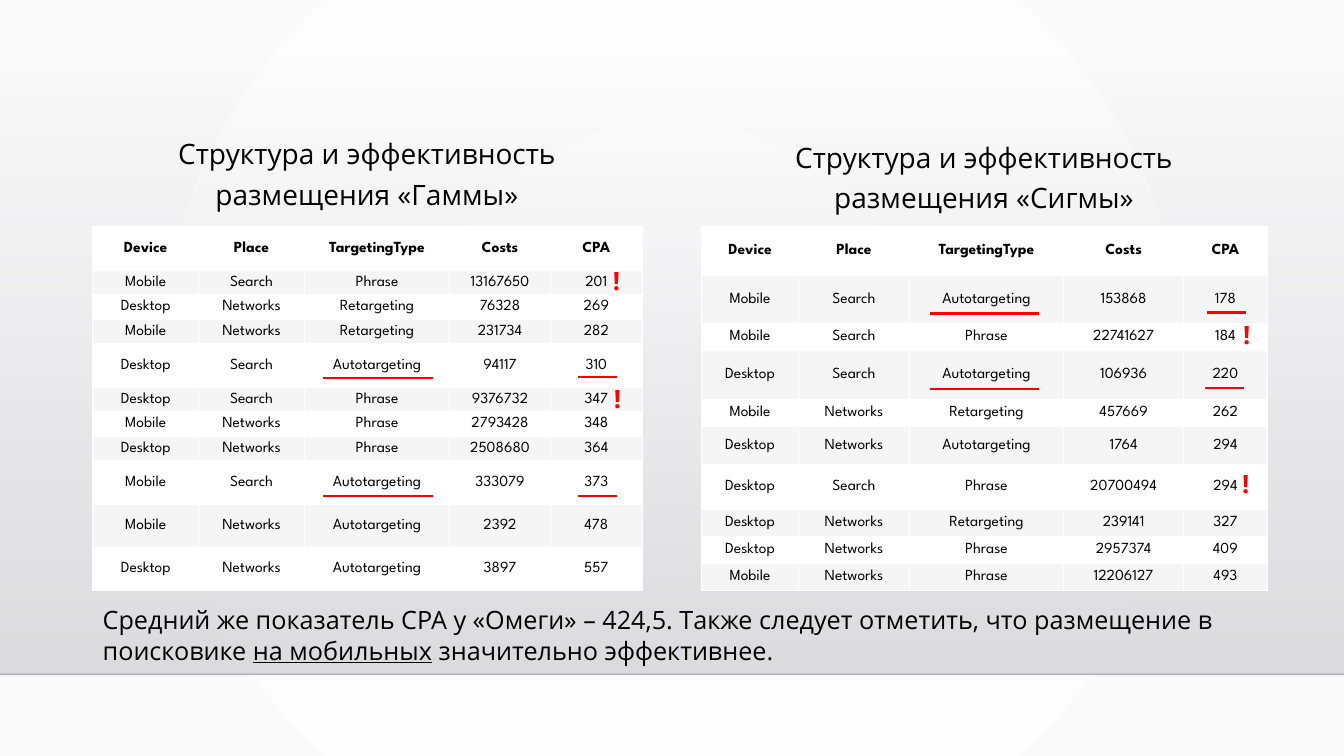
import pptx
import pptx.util
import pptx.dml.color
import pptx.enum.shapes
import pptx.enum.text
import pptx.oxml.ns
from lxml import etree

Inches = pptx.util.Inches
Pt = pptx.util.Pt
ALIGN = pptx.enum.text.PP_ALIGN
qn = pptx.oxml.ns.qn

COLORS = {"black": "000000", "white": "FFFFFF", "band": "F5F5F5", "red": "FF0000",
          "edge": "FAFAFA", "wall_top": "DCDCE0", "wall_bottom": "DEDEE2", "floor": "000001"}
TEXT_FONT, TABLE_FONT = "Open Sans", "League Spartan"

HEADER = ("Device", "Place", "TargetingType", "Costs", "CPA")
CAMPAIGNS = [
    {"title": "Структура и эффективность размещения «Гаммы»",
     "title_at": (1.17, 1.24, 4.94, 1.01),
     "left": 0.92, "columns": (1.05, 1.05, 1.44, 1, 0.91),
     "heights": (0.43, 0.24, 0.24, 0.24, 0.43, 0.24, 0.24, 0.24, 0.43, 0.43, 0.43),
     "rows": [("Mobile", "Search", "Phrase", 13167650, 201),
              ("Desktop", "Networks", "Retargeting", 76328, 269),
              ("Mobile", "Networks", "Retargeting", 231734, 282),
              ("Desktop", "Search", "Autotargeting", 94117, 310),
              ("Desktop", "Search", "Phrase", 9376732, 347),
              ("Mobile", "Networks", "Phrase", 2793428, 348),
              ("Desktop", "Networks", "Phrase", 2508680, 364),
              ("Mobile", "Search", "Autotargeting", 333079, 373),
              ("Mobile", "Networks", "Autotargeting", 2392, 478),
              ("Desktop", "Networks", "Autotargeting", 3897, 557)]},
    {"title": "Структура и эффективность размещения «Сигмы»",
     "title_at": (7.29, 1.28, 4.94, 0.93),
     "left": 6.96, "columns": (0.96, 1.1, 1.53, 1.19, 0.83),
     "heights": (0.48, 0.48, 0.27, 0.48, 0.27, 0.38, 0.44, 0.27, 0.27, 0.27),
     "rows": [("Mobile", "Search", "Autotargeting", 153868, 178),
              ("Mobile", "Search", "Phrase", 22741627, 184),
              ("Desktop", "Search", "Autotargeting", 106936, 220),
              ("Mobile", "Networks", "Retargeting", 457669, 262),
              ("Desktop", "Networks", "Autotargeting", 1764, 294),
              ("Desktop", "Search", "Phrase", 20700494, 294),
              ("Desktop", "Networks", "Retargeting", 239141, 327),
              ("Desktop", "Networks", "Phrase", 2957374, 409),
              ("Mobile", "Networks", "Phrase", 12206127, 493)]},
]
TABLE_TOP = 2.25
CONCLUSION = [("Средний же показатель CPA у «Омеги» – 424,5. Также следует отметить, "
               "что размещение в поисковике ", False),
              ("на мобильных", True),
              (" значительно эффективнее.", False)]
TARGETING_MARKS = [(3.2, 3.75), (3.2, 4.92), (9.22, 3.11), (9.22, 3.86)]
CPA_MARKS = [(5.73, 3.74), (5.73, 4.92), (11.97, 3.1), (11.95, 3.85)]
UNDERLINES = [(TARGETING_MARKS, 1.09), (CPA_MARKS, 0.39)]
EXCLAMATIONS = [(5.98, 2.58), (5.99, 3.75), (12.23, 3.12), (12.22, 4.6)]


def rgb(name):
    """Return the named colour."""
    return pptx.dml.color.RGBColor.from_string(COLORS[name])


def set_alpha(color_element, percent):
    """Give a colour element an opacity in percent."""
    etree.SubElement(color_element, qn("a:alpha")).set("val", str(percent * 1000))


def set_gradient(fill, start, end):
    """Make a two-stop gradient fill."""
    fill.gradient()
    for stop, name in zip(fill.gradient_stops, (start, end)):
        stop.color.rgb = rgb(name)


def add_line(page, start, end, color, width):
    """Draw a straight line without a shadow."""
    line = page.shapes.add_connector(pptx.enum.shapes.MSO_CONNECTOR.STRAIGHT,
                                     *map(Inches, start + end))
    line.line.color.rgb = rgb(color)
    line.line.width = Pt(width)
    etree.SubElement(line._element.spPr, qn("a:effectLst"))
    return line


def set_font(font, name, size, color="black", bold=False):
    """Set the face, size, colour and weight of a font."""
    font.name, font.size, font.bold = name, Pt(size), bold
    font.color.rgb = rgb(color)


def add_text(page, at, spans, size, color="black", bold=False, wrap=True):
    """Add a one-paragraph text box from (text, underlined) spans."""
    box = page.shapes.add_textbox(*map(Inches, at))
    box.text_frame.word_wrap = wrap
    para = box.text_frame.paragraphs[0]
    set_font(para.font, TEXT_FONT, size, color, bold)
    for text, underlined in spans:
        span = para.add_run()
        span.text = text
        if underlined:
            span.font.underline = True
    return para


def add_backdrop(page):
    """Paint the radial background, the shaded wall and the floor line."""
    set_gradient(page.background.fill, "white", "edge")
    gradient = page._element.find(".//" + qn("a:gradFill"))
    gradient.remove(gradient.find(qn("a:lin")))
    circle = etree.SubElement(gradient, qn("a:path"))
    circle.set("path", "circle")
    center = etree.SubElement(circle, qn("a:fillToRect"))
    for side in "ltrb":
        center.set(side, "50000")

    wall = page.shapes.add_shape(pptx.enum.shapes.MSO_SHAPE.RECTANGLE,
                                 *map(Inches, (0, 0.51, 13.33, 6.18)))
    wall.shadow.inherit = False
    wall.line.fill.background()
    set_gradient(wall.fill, "wall_top", "wall_bottom")
    wall.fill.gradient_angle = 270
    set_alpha(wall._element.spPr.find(".//" + qn("a:srgbClr")), 0)

    floor = add_line(page, (0, 6.69), (13.33, 6.69), "floor", 1)
    set_alpha(floor._element.spPr.find(".//" + qn("a:srgbClr")), 20)


def add_campaign(page, campaign):
    """Add the heading and the table of one campaign."""
    title = add_text(page, campaign["title_at"], [(campaign["title"], False)], 20)
    title.alignment = ALIGN.CENTER
    title.line_spacing = 1.2
    title.space_before = Pt(10)

    columns, heights = campaign["columns"], campaign["heights"]
    table = page.shapes.add_table(
        len(heights), len(columns), Inches(campaign["left"]), Inches(TABLE_TOP),
        Inches(sum(columns)), Inches(sum(heights))).table
    table.first_row = table.horz_banding = False
    for column, width in zip(table.columns, columns):
        column.width = Inches(width)
    for index, values in enumerate([HEADER] + campaign["rows"]):
        table.rows[index].height = Inches(heights[index])
        for cell, value in zip(table.rows[index].cells, values):
            cell.fill.solid()
            cell.fill.fore_color.rgb = rgb("band" if index % 2 else "white")
            cell.margin_left = cell.margin_right = Inches(0.06)
            cell.margin_top = cell.margin_bottom = Inches(0.03)
            cell.vertical_anchor = pptx.enum.text.MSO_ANCHOR.MIDDLE
            cell.text = str(value)
            para = cell.text_frame.paragraphs[0]
            para.alignment = ALIGN.CENTER
            set_font(para.font, TABLE_FONT, 11, bold=index == 0)


deck = pptx.Presentation()
deck.slide_width, deck.slide_height = Inches(13.33), Inches(7.5)
page = deck.slides.add_slide(deck.slide_layouts[6])

add_backdrop(page)
for campaign in CAMPAIGNS:
    add_campaign(page, campaign)
add_text(page, (0.92, 5.95, 11.65, 0.71), CONCLUSION, 18)
for marks, width in UNDERLINES:
    for x, y in marks:
        add_line(page, (x, y), (x + width, y), "red", 1.5)
for x, y in EXCLAMATIONS:
    add_text(page, (x, y, 0.29, 0.4), [("!", False)], 18, "red", bold=True, wrap=False)

deck.save("out.pptx")
